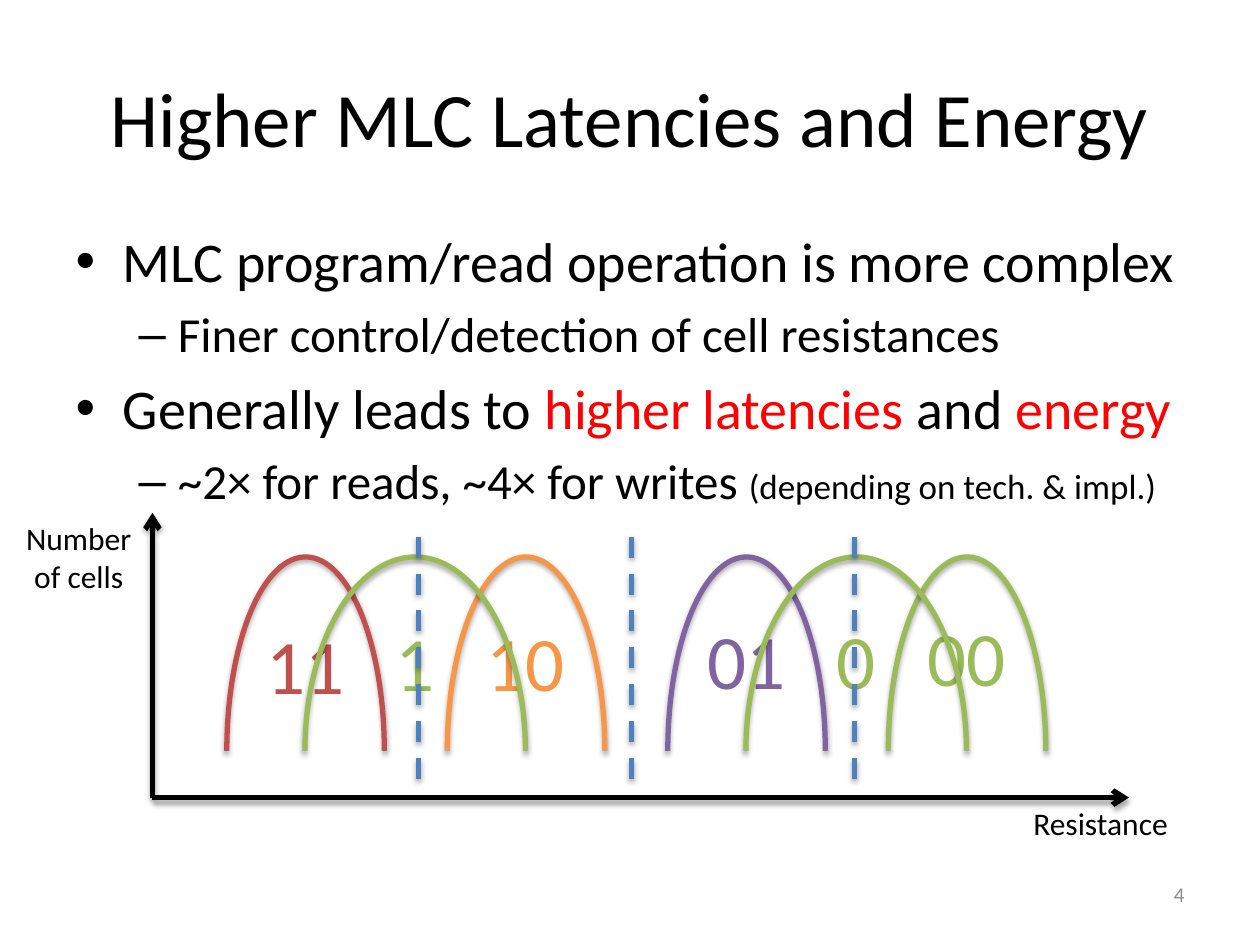
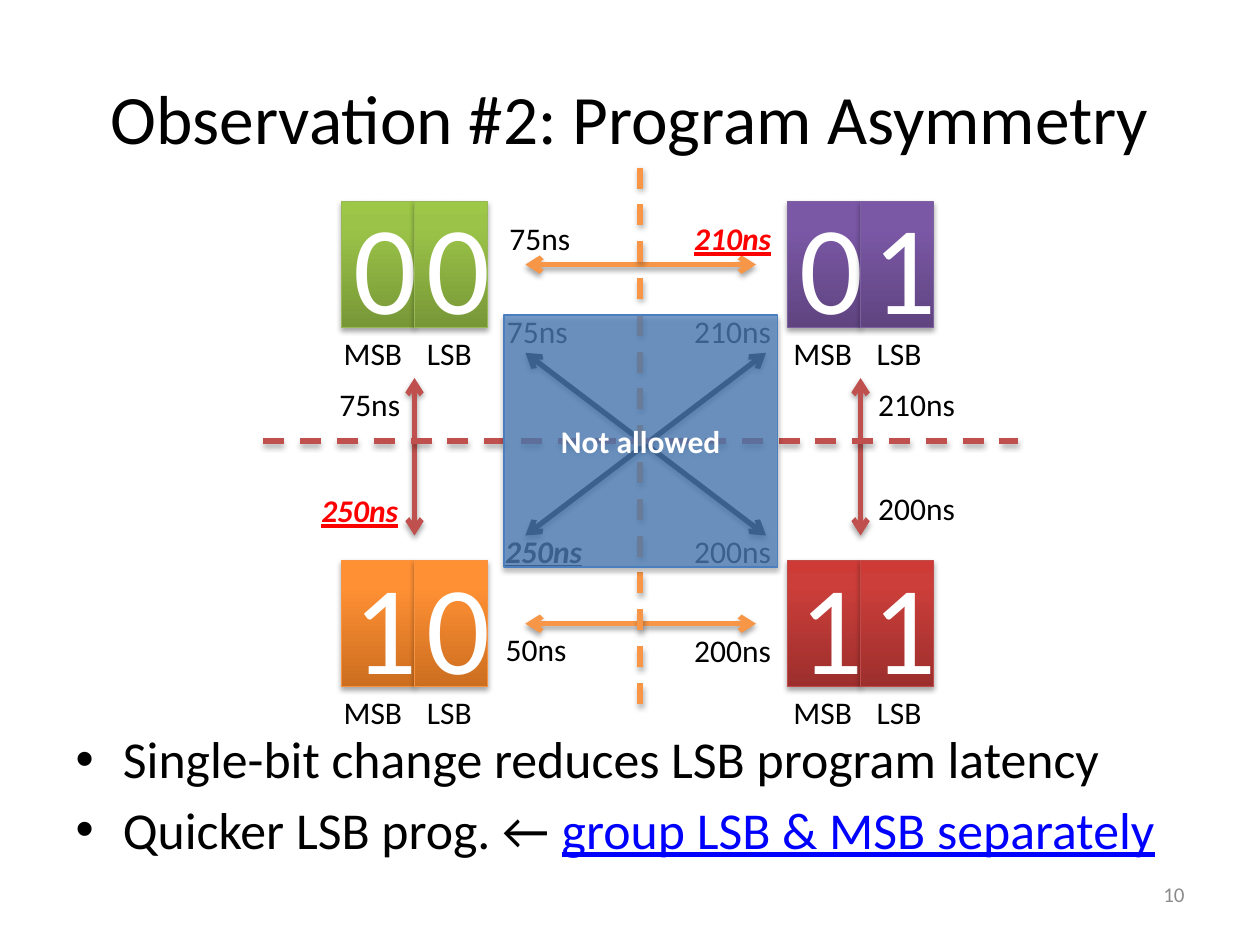
from copy import deepcopy
from dataclasses import dataclass
from typing import Any

from lxml import etree
from pptx import Presentation
from pptx import util as u
from pptx.dml.color import RGBColor
from pptx.enum import dml, shapes, text
from pptx.oxml import ns

COLORS = {
    "black": "000000", "white": "FFFFFF", "gray": "8C8C8C",
    "alert": "FF0000", "link": "0000FF", "blue": "4F81BD", "blue_edge": "4B7EBC",
    "red": "C0504D", "orange": "F79646", "purple": "8064A2", "green": "9BBB59",
}
GRADIENTS = {
    "green": ("779737", "9BC348", "9DC746", "98B955"),
    "purple": ("5F4480", "7B58A6", "7C57A8", "7D60A0"),
    "orange": ("CC6E20", "FF9034", "FF9136", "F69240"),
    "red": ("9C2F2D", "CB3E3A", "CE3B37", "BF4C48"),
}
ALIGN = text.PP_ALIGN
EMPHASIS = {"color": "alert", "bold": True, "italic": True, "underline": True}


def rgb(name):
    return RGBColor.from_string(COLORS.get(name, name))


def inches(*lengths):
    return [u.Inches(length) for length in lengths]


def child(parent, tag, **attributes):
    return etree.SubElement(parent, ns.qn(tag), {k: str(v) for k, v in attributes.items()})


@dataclass
class Deck:
    presentation: Any
    slide: Any = None
    font: str = "Calibri"
    line_width: float = 3

    def start(self, title, number, size=44):
        self.slide = self.presentation.slides.add_slide(self.presentation.slide_layouts[1])
        placeholder = self.slide.shapes.title
        self.place(placeholder, 0.5, 0.3, 9, 1.25)
        self.add_runs(placeholder.text_frame.paragraphs[0], [(title, {})], size,
                      align=ALIGN.CENTER)
        self.label(number, 7.17, 6.95, 2.33, size=12, color="gray", align=ALIGN.RIGHT)

    def place(self, shape, *box):
        shape.left, shape.top, shape.width, shape.height = inches(*box)

    def add_runs(self, paragraph, runs, size, color="black", align=None):
        paragraph.alignment = align
        for words, style in runs:
            run = paragraph.add_run()
            run.text = words
            font = run.font
            font.name, font.size = self.font, u.Pt(size)
            font.color.rgb = rgb(style.get("color", color))
            font.bold = style.get("bold")
            font.italic = style.get("italic")
            font.underline = style.get("underline")

    def bullets(self, box, items, space=None):
        body = self.slide.placeholders[1]
        self.place(body, *box)
        frame = body.text_frame
        frame.auto_size = text.MSO_AUTO_SIZE.NONE
        for index, (level, size, runs) in enumerate(items):
            paragraph = frame.add_paragraph() if index else frame.paragraphs[0]
            paragraph.level = level
            if space is not None:
                paragraph.space_before = u.Pt(space)
            self.add_runs(paragraph, runs, size)

    def label(self, words, left, top, width, height=0.4, size=18, align=ALIGN.CENTER, **style):
        shape = self.slide.shapes.add_textbox(*inches(left, top, width, height))
        frame = shape.text_frame
        frame.word_wrap = True
        frame.auto_size = text.MSO_AUTO_SIZE.SHAPE_TO_FIT_TEXT
        self.add_runs(frame.paragraphs[0], [(words, style)], size, align=align)

    def shadow(self, shape):
        properties = shape._element.spPr
        effects = properties.find(ns.qn("a:effectLst"))
        if effects is None:
            effects = child(properties, "a:effectLst")
        outer = child(effects, "a:outerShdw", blurRad=u.Pt(3.1), dist=u.Pt(1.8),
                      dir=5400000, rotWithShape=0)
        child(child(outer, "a:srgbClr", val=COLORS["black"]), "a:alpha", val=35000)

    def line(self, start, end, color, dashed=False, head=False, tail=False):
        connector = self.slide.shapes.add_connector(
            shapes.MSO_CONNECTOR.STRAIGHT, *inches(*start, *end))
        connector.line.color.rgb = rgb(color)
        connector.line.width = u.Pt(self.line_width)
        if dashed:
            connector.line.dash_style = dml.MSO_LINE.DASH
        outline = connector._element.spPr.find(ns.qn("a:ln"))
        for wanted, tag in ((head, "a:headEnd"), (tail, "a:tailEnd")):
            if wanted:
                child(outline, tag, type="arrow")
        self.shadow(connector)

    def shape(self, kind, box, edge, width):
        shape = self.slide.shapes.add_shape(kind, *inches(*box))
        shape.line.color.rgb = rgb(edge)
        shape.line.width = u.Pt(width)
        shape.shadow.inherit = False
        self.shadow(shape)
        return shape

    def arc(self, left, width, color):
        arc = self.shape(shapes.MSO_SHAPE.ARC, (left, 4.42, width, 3.08), color, self.line_width)
        arc.fill.background()
        arc.adjustments[0], arc.adjustments[1] = 108.035, 0

    def bit(self, digit, left, top, gradient):
        *stops, edge = GRADIENTS[gradient]
        cell = self.shape(shapes.MSO_SHAPE.RECTANGLE, (left, top, 0.58, 1), edge, 0.75)
        cell.fill.gradient()
        cell.fill.gradient_angle = 90
        stop_list = cell._element.spPr.find(".//" + ns.qn("a:gsLst"))
        stop_list.append(deepcopy(stop_list[-1]))
        for stop, position, color in zip(cell.fill.gradient_stops, (0, 0.8, 1), stops):
            stop.position = position
            stop.color.rgb = rgb(color)
        self.add_runs(cell.text_frame.paragraphs[0], [(digit, {})], 72, "white", ALIGN.CENTER)

    def veil(self, words, *box):
        cover = self.shape(shapes.MSO_SHAPE.RECTANGLE, box, "blue_edge", 0.75)
        cover.fill.solid()
        cover.fill.fore_color.rgb = rgb("blue")
        color = cover._element.spPr.find(ns.qn("a:solidFill"))[0]
        child(color, "a:alpha", val=75000)
        self.add_runs(cover.text_frame.paragraphs[0], [(words, {"bold": True})], 18,
                      "white", ALIGN.CENTER)


def latency_slide(deck):
    deck.start("Higher MLC Latencies and Energy", "4")
    deck.bullets((0.5, 1.75, 9, 4.95), [
        (0, 32, [("MLC program/read operation is more complex", {})]),
        (1, 28, [("Finer control/detection of cell resistances", {})]),
        (0, 32, [("Generally leads to ", {}), ("higher latencies ", {"color": "alert"}),
                 ("and ", {}), ("energy", {"color": "alert"})]),
        (1, 28, [("~2× for reads, ~4× for writes ", {})]),
    ])
    note = deck.slide.placeholders[1].text_frame.paragraphs[-1]
    deck.add_runs(note, [("(depending on tech. & impl.)", {})], 20)

    origin = (1.21, 6.33)
    deck.line(origin, (1.21, 4.07), "black", tail=True)
    deck.line(origin, (8.96, 6.33), "black", tail=True)
    levels = list(zip(("11", "10", "01", "00"), ("red", "orange", "purple", "green")))
    for index, (bits, color) in enumerate(levels):
        left = 1.8 + 1.75 * index
        deck.arc(left, 1.25, color)
        deck.label(bits, left, 4.85 - 0.02 * index, 1.25, 0.84, 44, color=color)
    deck.label("Number of cells", 0, 4.07, 1.25, 0.71)
    deck.label("Resistance", 8.05, 6.33, 1.37)
    for bits, left, top in (("1", 2.42, 4.83), ("0", 5.92, 4.81)):
        deck.arc(left, 1.75, "green")
        deck.label(bits, left + 0.25, top, 1.25, 0.84, 44, color="green")
    for x in (3.32, 5.01, 6.78):
        deck.line((x, 4.26), (x, 6.29), "blue", dashed=True)


def asymmetry_slide(deck):
    deck.start("Observation #2: Program Asymmetry", "10", 39.6)
    deck.bullets((0.5, 5.72, 9, 1.5), [
        (0, 29.6, [("Single-bit change reduces LSB program latency", {})]),
        (0, 29.6, [("Quicker LSB prog. ← ", {}),
                   ("group LSB & MSB separately", {"color": "link", "underline": True})]),
    ], space=4.7)

    left, right, top, bottom = 2.71, 6.25, 1.6, 4.45
    for bits, x, y, gradient in (("00", left, top, "green"), ("01", right, top, "purple"),
                                 ("10", left, bottom, "orange"), ("11", right, bottom, "red")):
        for index, digit in enumerate(bits):
            deck.bit(digit, x + 0.58 * index, y, gradient)
        names_left = 2.18 if x == left else 5.75
        deck.label("MSB", names_left, y + 1, 1.11, align=ALIGN.RIGHT)
        deck.label("LSB", names_left + 1.11, y + 1, 1.11, align=ALIGN.LEFT)

    for start, end, color in (
        ((3.29, 3), (3.29, 4.25), "red"), ((6.83, 3), (6.83, 4.25), "red"),
        ((4.17, 2.1), (6, 2.1), "orange"), ((4.17, 4.95), (6, 4.95), "orange"),
        ((4.17, 2.8), (6.08, 4.25), "black"), ((6.08, 2.8), (4.17, 4.25), "black"),
    ):
        deck.line(start, end, color, head=True, tail=True)

    for delay, x, y, style in (
        ("75ns", 3.85, 1.69, {}), ("210ns", 5.38, 1.69, EMPHASIS),
        ("75ns", 2.5, 3.01, {}), ("210ns", 6.84, 3.01, {}),
        ("75ns", 3.83, 2.43, {}), ("210ns", 5.38, 2.43, {}),
        ("250ns", 3.88, 4.17, {**EMPHASIS, "color": "black"}), ("200ns", 5.38, 4.17, {}),
        ("250ns", 2.42, 3.85, EMPHASIS), ("200ns", 6.84, 3.83, {}),
        ("50ns", 3.82, 4.95, {}), ("200ns", 5.38, 4.96, {}),
    ):
        deck.label(delay, x, y, 0.87, **style)

    deck.line((2.09, 3.5), (8.08, 3.5), "red", dashed=True)
    deck.line((5.08, 1.33), (5.08, 5.65), "orange", dashed=True)
    deck.veil("Not allowed", 4, 2.5, 2.17, 2)


presentation = Presentation()
presentation.slide_width, presentation.slide_height = inches(10, 7.5)
deck = Deck(presentation)
latency_slide(deck)
asymmetry_slide(deck)
presentation.save("out.pptx")
